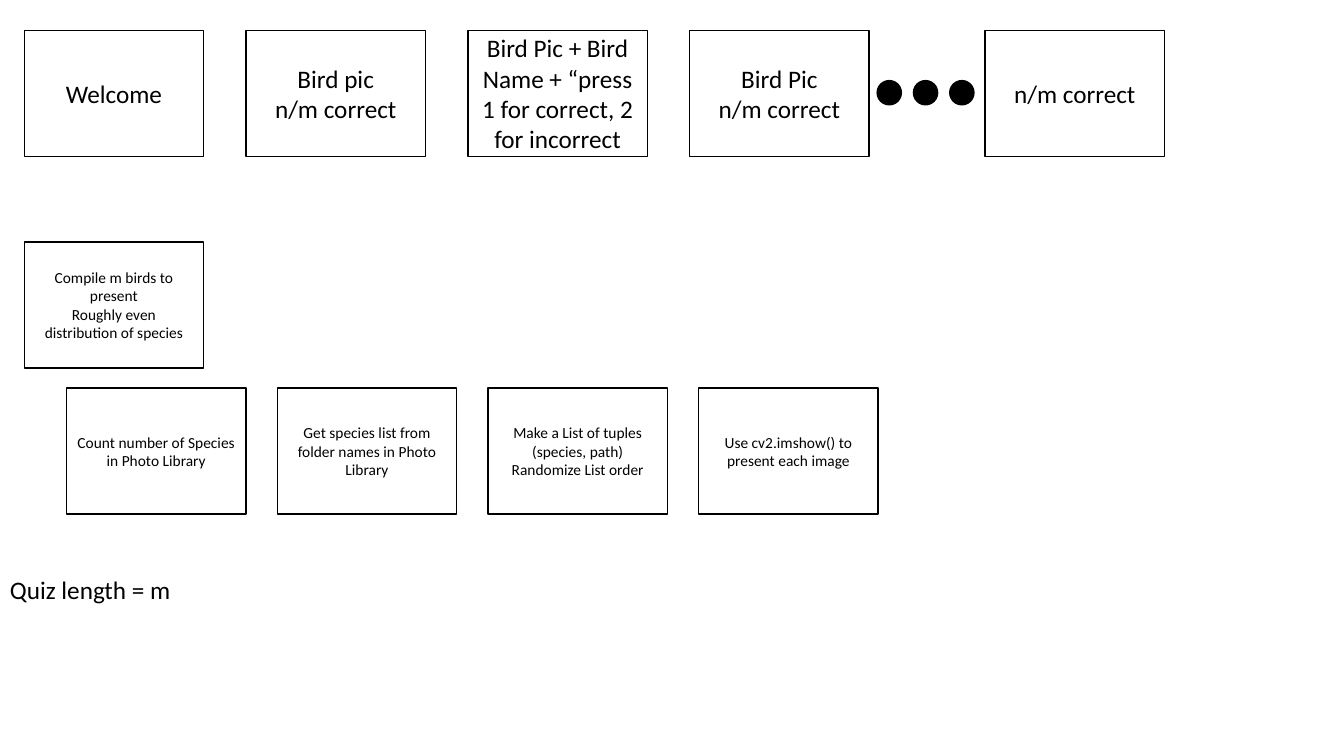
from dataclasses import dataclass

from pptx import Presentation
from pptx.dml.color import RGBColor
from pptx.enum.shapes import MSO_SHAPE
from pptx.enum.text import MSO_ANCHOR, MSO_AUTO_SIZE, PP_ALIGN
from pptx.util import Inches, Pt

RECT, OVAL = MSO_SHAPE.RECTANGLE, MSO_SHAPE.OVAL
MIDDLE, CENTER, LEFT = MSO_ANCHOR.MIDDLE, PP_ALIGN.CENTER, PP_ALIGN.LEFT
FIT_SHAPE = MSO_AUTO_SIZE.SHAPE_TO_FIT_TEXT


@dataclass(frozen=True)
class Theme:
    ink: RGBColor = RGBColor(0, 0, 0)
    paper: RGBColor = RGBColor(255, 255, 255)
    font: str = "Calibri"
    large: int = 18
    small: int = 11
    line: int = 1


THEME = Theme()
CARD_W, CARD_H = 1.78, 1.25

SCREENS = [
    "Welcome",
    "Bird pic\nn/m correct",
    "Bird Pic + Bird Name + “press 1 for correct, 2 for incorrect",
    "Bird Pic\nn/m correct",
]
STEPS = [
    "Count number of Species in Photo Library",
    "Get species list from folder names in Photo Library",
    "Make a List of tuples (species, path)\nRandomize List order",
    "Use cv2.imshow() to present each image",
]


def write(tf, text, size, align):
    tf.text = text
    for p in tf.paragraphs:
        p.alignment = align
        for r in p.runs:
            r.font.name = THEME.font
            r.font.size = Pt(size)
            r.font.color.rgb = THEME.ink


def add_outlined(shapes, kind, x, y, w, h, fill):
    sp = shapes.add_shape(kind, Inches(x), Inches(y), Inches(w), Inches(h))
    sp.shadow.inherit = False
    sp.fill.solid()
    sp.fill.fore_color.rgb = fill
    sp.line.color.rgb = THEME.ink
    sp.line.width = Pt(THEME.line)
    return sp


def add_card_row(s, x, y, step, texts, size):
    for i, text in enumerate(texts):
        sp = add_outlined(s.shapes, RECT, x + i * step, y, CARD_W, CARD_H, THEME.paper)
        tf = sp.text_frame
        tf.word_wrap = True
        tf.vertical_anchor = MIDDLE
        write(tf, text, size, CENTER)


def add_ellipsis(s, x, y, diameter, step):
    group = s.shapes.add_group_shape()
    for i in range(3):
        add_outlined(group.shapes, OVAL, x + i * step, y, diameter, diameter, THEME.ink)


def add_screen_flow(s, x, y):
    add_card_row(s, x, y, 2.2, SCREENS, THEME.large)
    add_ellipsis(s, x + 8.46, y + 0.5, 0.24, 0.36)
    add_card_row(s, x + 9.53, y, 0, ["n/m correct"], THEME.large)


def add_preparation(s, x, y):
    goal = "Compile m birds to present\nRoughly even distribution of species"
    add_card_row(s, x, y, 0, [goal], THEME.small)
    add_card_row(s, x + 0.42, y + 1.45, 2.09, STEPS, THEME.small)


def add_quiz_note(s, x, y, w, h):
    tb = s.shapes.add_textbox(Inches(x), Inches(y), Inches(w), Inches(h))
    tf = tb.text_frame
    tf.word_wrap = False
    tf.auto_size = FIT_SHAPE
    write(tf, "Quiz length = m", THEME.large, LEFT)


def main():
    prs = Presentation()
    prs.slide_width, prs.slide_height = Inches(13.33), Inches(7.5)
    s = prs.slides.add_slide(prs.slide_layouts.get_by_name("Blank"))
    add_screen_flow(s, 0.24, 0.3)
    add_preparation(s, 0.24, 2.4)
    add_quiz_note(s, 0, 5.65, 1.81, 0.4)
    prs.save("out.pptx")


if __name__ == "__main__":
    main()
